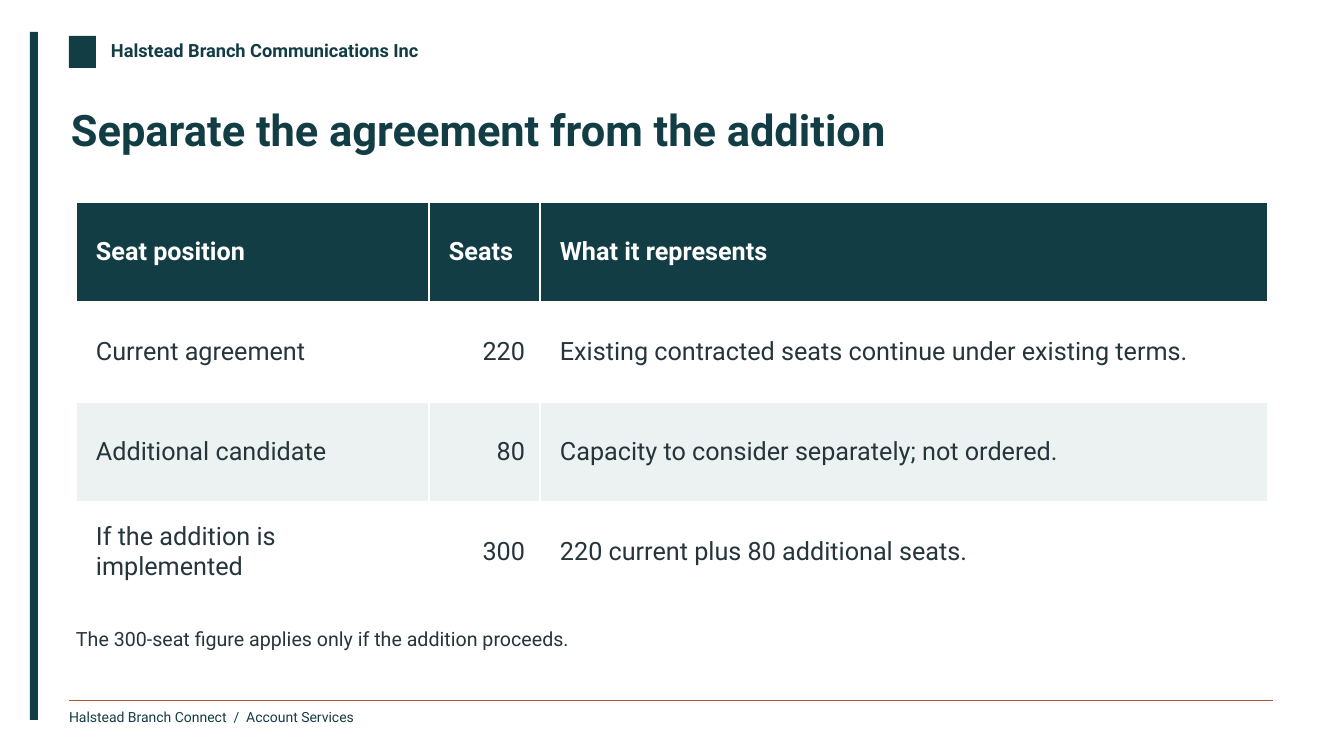
"""Build the slide that separates the current seat agreement from the addition."""
import lxml.etree
import pptx
import pptx.dml.color
import pptx.enum.shapes
import pptx.enum.text
import pptx.oxml.ns
import pptx.util

SCALE = 914400 / 100.8
FONT = "Roboto"
COLORS = {
    "teal": "133D45",
    "rust": "AF5636",
    "ink": "26353B",
    "mist": "EBF2F1",
    "white": "FFFFFF",
}
COLUMN_WIDTHS = (353, 111, 728)
ROW_HEIGHT = 100
SEAT_ROWS = (
    ("Seat position", "Seats", "What it represents"),
    ("Current agreement", "220", "Existing contracted seats continue under existing terms."),
    ("Additional candidate", "80", "Capacity to consider separately; not ordered."),
    ("If the addition is implemented", "300", "220 current plus 80 additional seats."),
)


def px(length):
    """Turn px into EMU."""
    return pptx.util.Emu(round(length * SCALE))


def rgb(name):
    """Look up a named colour."""
    return pptx.dml.color.RGBColor.from_string(COLORS[name])


def add_run(para, text, size, color, bold=False):
    """Add one formatted run to a paragraph."""
    span = para.add_run()
    span.text = text
    span.font.name = FONT
    span.font.size = pptx.util.Pt(size)
    span.font.bold = bold
    span.font.color.rgb = rgb(color)


def set_margins(target, left=0, top=0, right=0, bottom=0):
    """Set the inner margins of a text frame or cell."""
    target.margin_left, target.margin_top = px(left), px(top)
    target.margin_right, target.margin_bottom = px(right), px(bottom)


def add_bar(page, left, top, width, height, color):
    """Add a plain filled rectangle."""
    bar = page.shapes.add_shape(
        pptx.enum.shapes.MSO_SHAPE.RECTANGLE, px(left), px(top), px(width), px(height))
    bar.shadow.inherit = False
    bar.fill.solid()
    bar.fill.fore_color.rgb = rgb(color)
    bar.line.fill.background()


def add_label(page, left, top, width, height, text, size, bold=False):
    """Add a single-line teal label."""
    box = page.shapes.add_textbox(px(left), px(top), px(width), px(height))
    box.text_frame.word_wrap = True
    set_margins(box.text_frame)
    add_run(box.text_frame.paragraphs[0], text, size, "teal", bold)


def fill_placeholder(box, left, top, width, height, text, size, color, bold=False):
    """Move a placeholder and fill it with one unbulleted paragraph."""
    box.left, box.top, box.width, box.height = px(left), px(top), px(width), px(height)
    frame = box.text_frame
    frame.word_wrap = True
    frame.auto_size = pptx.enum.text.MSO_AUTO_SIZE.NONE
    frame.vertical_anchor = pptx.enum.text.MSO_ANCHOR.TOP
    set_margins(frame)
    para = frame.paragraphs[0]
    para.alignment = pptx.enum.text.PP_ALIGN.LEFT
    para.space_before = pptx.util.Pt(0)
    properties = para._p.get_or_add_pPr()
    properties.set("marL", "0")
    properties.set("indent", "0")
    lxml.etree.SubElement(properties, pptx.oxml.ns.qn("a:buNone"))
    add_run(para, text, size, color, bold)


def add_seat_table(page, left, top):
    """Add the table of seat positions with the white borders of its style."""
    table = page.shapes.add_table(
        len(SEAT_ROWS), len(COLUMN_WIDTHS), px(left), px(top),
        px(sum(COLUMN_WIDTHS)), px(ROW_HEIGHT * len(SEAT_ROWS))).table
    for column, width in zip(table.columns, COLUMN_WIDTHS):
        column.width = px(width)
    for row_index, texts in enumerate(SEAT_ROWS):
        header = row_index == 0
        background = "teal" if header else "white" if row_index % 2 else "mist"
        for column_index, text in enumerate(texts):
            cell = table.cell(row_index, column_index)
            set_margins(cell, 20, 5, 15, 5)
            cell.vertical_anchor = pptx.enum.text.MSO_ANCHOR.MIDDLE
            cell.fill.solid()
            cell.fill.fore_color.rgb = rgb(background)
            para = cell.text_frame.paragraphs[0]
            if column_index == 1 and not header:
                para.alignment = pptx.enum.text.PP_ALIGN.RIGHT
            add_run(para, text, 18, "white" if header else "ink", header)


def main():
    """Build and save the deck."""
    deck = pptx.Presentation()
    deck.slide_width, deck.slide_height = px(1344), px(756)
    page = deck.slides.add_slide(deck.slide_layouts[1])
    add_bar(page, 30, 32, 8, 688, "teal")
    add_bar(page, 69, 36, 27, 32, "teal")
    add_label(page, 111, 39, 358, 27, "Halstead Branch Communications Inc", 13, True)
    add_bar(page, 69, 700, 1204, 1, "rust")
    add_label(page, 69, 709, 320, 23, "Halstead Branch Connect  /  Account Services", 10)
    fill_placeholder(page.shapes.title, 71, 103, 1200, 87,
                     "Separate the agreement from the addition", 31, "teal", True)
    fill_placeholder(page.placeholders[1], 76, 627, 1191, 44,
                     "The 300-seat figure applies only if the addition proceeds.", 14, "ink")
    add_seat_table(page, 76, 202)
    deck.save("out.pptx")


if __name__ == "__main__":
    main()
